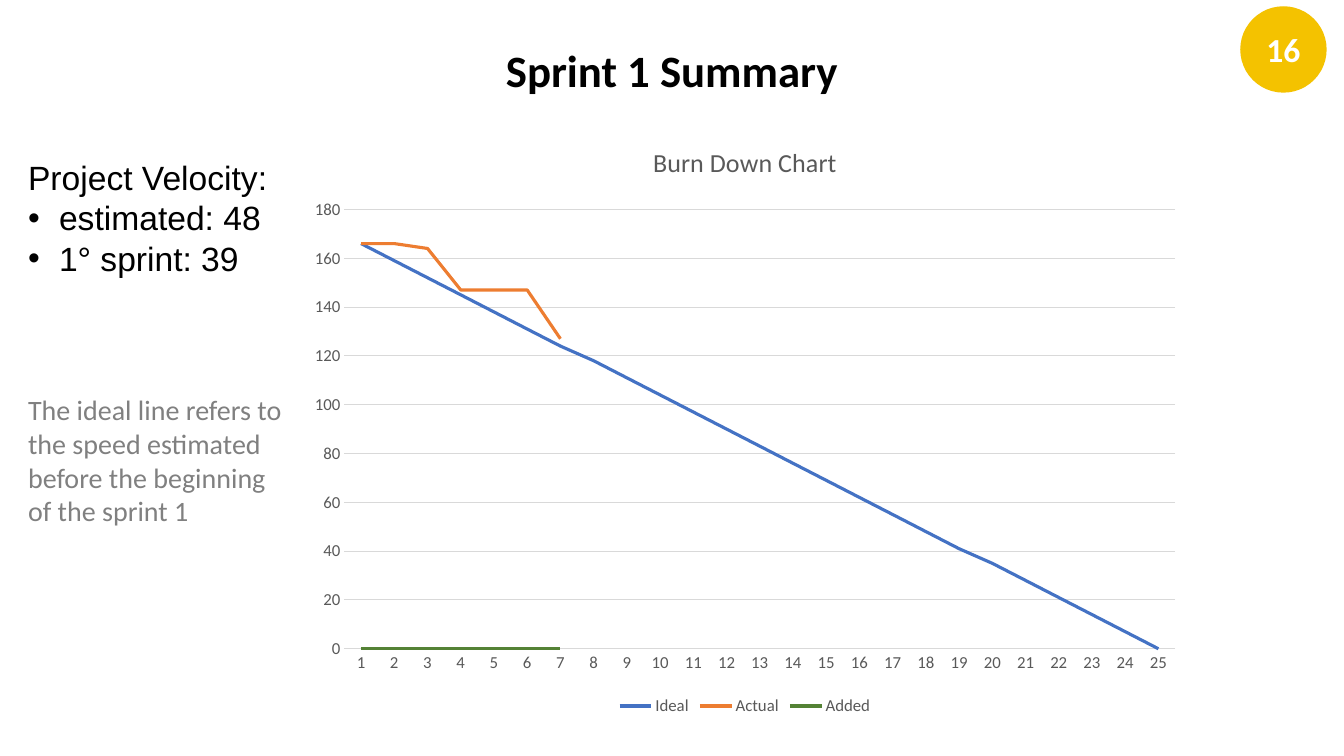
from lxml import etree
from pptx import Presentation
from pptx.chart.data import CategoryChartData
from pptx.dml.color import RGBColor
from pptx.enum.chart import XL_CHART_TYPE, XL_LEGEND_POSITION, XL_TICK_MARK
from pptx.enum.shapes import MSO_SHAPE
from pptx.enum.text import MSO_ANCHOR, MSO_AUTO_SIZE, PP_ALIGN
from pptx.oxml.ns import qn
from pptx.util import Pt

PX = 914400 / 100.8
BLACK = RGBColor(0x00, 0x00, 0x00)
WHITE = RGBColor(0xFF, 0xFF, 0xFF)
GRAY = RGBColor(0x80, 0x80, 0x80)
DARK_GRAY = RGBColor(0x59, 0x59, 0x59)
LIGHT_GRAY = RGBColor(0xD9, 0xD9, 0xD9)
YELLOW = RGBColor(0xF4, 0xC2, 0x00)
BLUE = RGBColor(0x44, 0x72, 0xC4)
ORANGE = RGBColor(0xED, 0x7D, 0x31)
GREEN = RGBColor(0x54, 0x82, 0x35)


def box(left, top, width, height):
    return [round(length * PX) for length in (left, top, width, height)]


def set_font(font, color, **values):
    for name, value in values.items():
        setattr(font, name, value)
    font.color.rgb = color


presentation = Presentation()
presentation.slide_width, presentation.slide_height = box(0, 0, 1344, 756)[2:]
slide = presentation.slides.add_slide(presentation.slide_layouts[1])

title = slide.shapes.title
title.left, title.top, title.width, title.height = box(0, 37, 1344, 65)
title.text_frame.text = "Sprint 1 Summary"
title_paragraph = title.text_frame.paragraphs[0]
title_paragraph.alignment = PP_ALIGN.CENTER
set_font(title_paragraph.font, BLACK, name="Calibri", size=Pt(32), bold=True)

body = slide.placeholders[1]
body.left, body.top, body.width, body.height = box(18, 152, 279, 417)
body.text_frame.auto_size = MSO_AUTO_SIZE.NONE
velocity_lines = [
    ("Project Velocity:", False, 0, "Arial", 24, BLACK),
    ("estimated: 48", True, 0, "Arial", 24, BLACK),
    ("1° sprint: 39", True, 0, "Arial", 24, BLACK),
    ("The ideal line refers to the speed estimated before the beginning of the sprint 1",
     False, 82, "Calibri", 20, GRAY),
]
for index, (text, bulleted, space, font_name, size, color) in enumerate(velocity_lines):
    paragraph = body.text_frame.paragraphs[0] if index == 0 else body.text_frame.add_paragraph()
    paragraph.text = text
    paragraph.space_before = Pt(space)
    properties = paragraph._p.get_or_add_pPr()
    indent = round(31 * PX) if bulleted else 0
    properties.set("marL", str(indent))
    properties.set("indent", str(-indent))
    if bulleted:
        etree.SubElement(properties, qn("a:buFont"), typeface="Arial")
        etree.SubElement(properties, qn("a:buChar"), char="•")
    else:
        etree.SubElement(properties, qn("a:buNone"))
    set_font(paragraph.font, color, name=font_name, size=Pt(size))

badge = slide.shapes.add_shape(MSO_SHAPE.OVAL, *box(1241, 7, 85, 85))
badge.shadow.inherit = False
badge.fill.solid()
badge.fill.fore_color.rgb = YELLOW
badge.line.color.rgb = YELLOW
badge.line.width = Pt(1)
badge.text_frame.text = "16"
badge.text_frame.vertical_anchor = MSO_ANCHOR.MIDDLE
badge_paragraph = badge.text_frame.paragraphs[0]
badge_paragraph.alignment = PP_ALIGN.CENTER
set_font(badge_paragraph.font, WHITE, name="Calibri", size=Pt(24), bold=True)

burn_down = [
    ("Ideal", BLUE, [166, 159, 152, 145, 138, 131, 124, 118, 111, 104, 97, 90, 83,
                     76, 69, 62, 55, 48, 41, 35, 28, 21, 14, 7, 0]),
    ("Actual", ORANGE, [166, 166, 164, 147, 147, 147, 127] + [None] * 18),
    ("Added", GREEN, [0] * 7 + [None] * 18),
]
chart_data = CategoryChartData()
chart_data.categories = [str(day) for day in range(1, 26)]
for name, color, values in burn_down:
    chart_data.add_series(name, values)
chart = slide.shapes.add_chart(XL_CHART_TYPE.LINE, *box(297, 122, 896, 598), chart_data).chart
set_font(chart.font, BLACK, name="Calibri", size=Pt(10))

chart.has_title = True
chart.chart_title.include_in_layout = False
chart.chart_title.text_frame.text = "Burn Down Chart"
set_font(chart.chart_title.text_frame.paragraphs[0].font, DARK_GRAY,
         name="Calibri", size=Pt(18.6), bold=False)

chart.has_legend = True
chart.legend.position = XL_LEGEND_POSITION.BOTTOM
chart.legend.include_in_layout = False
set_font(chart.legend.font, DARK_GRAY, name="Calibri", size=Pt(12))

for axis in (chart.category_axis, chart.value_axis):
    axis.major_tick_mark = XL_TICK_MARK.NONE
    axis.minor_tick_mark = XL_TICK_MARK.NONE
    set_font(axis.tick_labels.font, DARK_GRAY, name="Calibri", size=Pt(12))
chart.value_axis.minimum_scale = 0
chart.value_axis.maximum_scale = 180
chart.value_axis.major_unit = 20
chart.value_axis.format.line.fill.background()
for line in (chart.category_axis.format.line, chart.value_axis.major_gridlines.format.line):
    line.color.rgb = LIGHT_GRAY
    line.width = Pt(0.75)

for series, (name, color, values) in zip(chart.plots[0].series, burn_down):
    series.smooth = False
    series.format.line.color.rgb = color
    series.format.line.width = Pt(2.25)
chart.plots[0].vary_by_categories = False

presentation.save("out.pptx")
